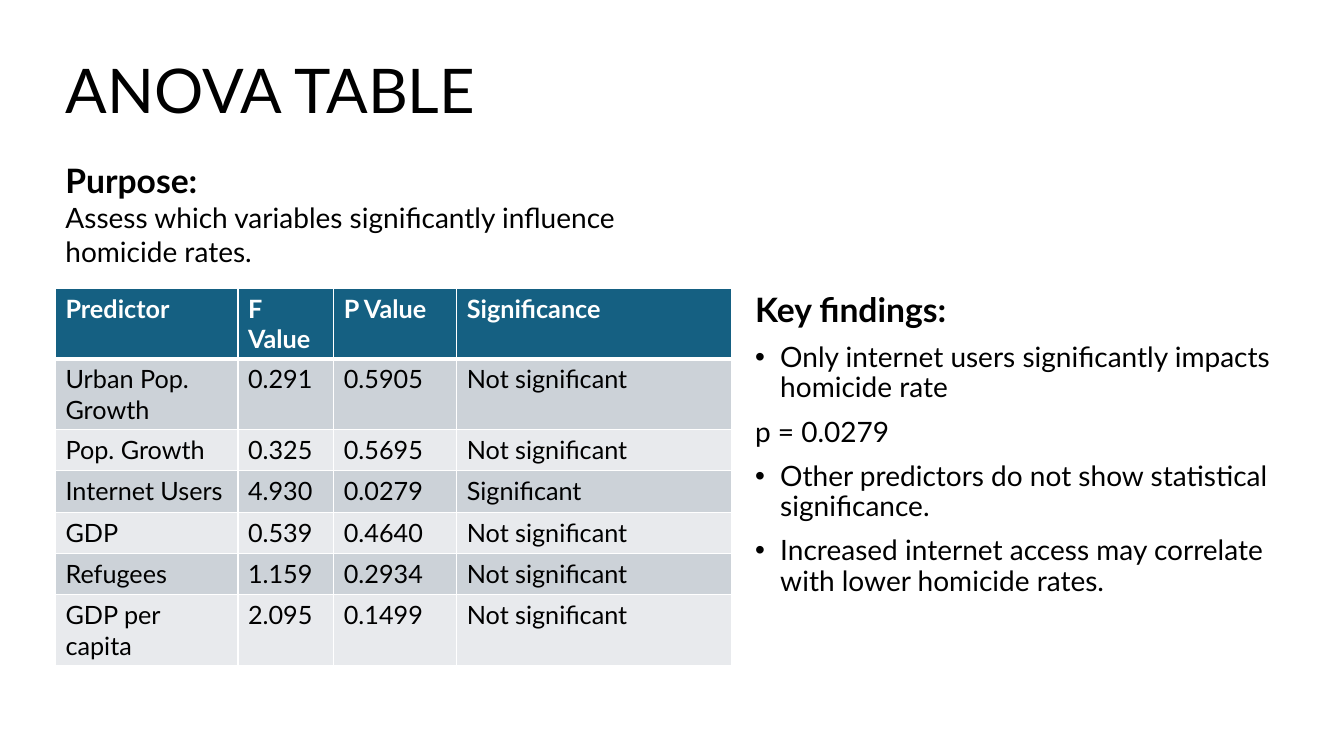
import lxml.etree
import pptx
import pptx.dml.color
import pptx.enum.text
import pptx.oxml.ns
import pptx.util

Pt = pptx.util.Pt
qn = pptx.oxml.ns.qn
Anchor = pptx.enum.text.MSO_ANCHOR
Size = pptx.enum.text.MSO_AUTO_SIZE

HUES = {"ink": "000000", "paper": "FFFFFF", "head": "156082",
        "dark": "CCD2D8", "light": "E8EAED"}
FORMS = {
    "title": {"size": Pt(44), "bold": False},
    "lead": {"size": Pt(24), "bold": True},
    "body": {"size": Pt(20), "bold": False},
    "head": {"size": Pt(18), "bold": True},
    "cell": {"size": Pt(18), "bold": False},
}
TIGHT = {"line_spacing": 0.9, "space_before": Pt(10)}


def apply(item, values):
    for name, value in values.items():
        setattr(item, name, value)


class Deck:
    font = "Lato"

    def __init__(self):
        self.file = pptx.Presentation()
        self.file.slide_width = pptx.util.Inches(13.33)
        self.file.slide_height = pptx.util.Inches(7.5)
        self.slide = self.file.slides.add_slide(self.file.slide_layouts[6])

    def wide(self, share):
        return round(self.file.slide_width * share / 100)

    def high(self, share):
        return round(self.file.slide_height * share / 100)

    def area(self, box):
        left, top, width, height = box
        return self.wide(left), self.high(top), self.wide(width), self.high(height)

    def label(self, para, words, form, hue="ink"):
        run = para.add_run()
        run.text = words
        apply(run.font, {"name": self.font, **FORMS[form]})
        run.font.color.rgb = pptx.dml.color.RGBColor.from_string(HUES[hue])

    def bullet(self, para):
        props = para._p.get_or_add_pPr()
        dent = pptx.util.Inches(0.25)
        props.set("marL", str(dent))
        props.set("indent", str(-dent))
        font = lxml.etree.SubElement(props, qn("a:buFont"))
        font.set("typeface", "Arial")
        lxml.etree.SubElement(props, qn("a:buChar")).set("char", "•")

    def text(self, box, lines, space, frame):
        area = self.slide.shapes.add_textbox(*self.area(box)).text_frame
        apply(area, {"word_wrap": True, **frame})
        for index, (words, form, dot) in enumerate(lines):
            para = area.add_paragraph() if index else area.paragraphs[0]
            apply(para, space)
            if dot:
                self.bullet(para)
            self.label(para, words, form)

    def border(self, cell, edges):
        props = cell._tc.get_or_add_tcPr()
        for side, width in edges.items():
            line = lxml.etree.SubElement(props, qn(f"a:ln{side}"))
            line.set("w", str(Pt(width)))
            fill = lxml.etree.SubElement(line, qn("a:solidFill"))
            lxml.etree.SubElement(fill, qn("a:srgbClr")).set("val", HUES["paper"])

    def table(self, box, cols, row, data):
        area = self.area(box)
        frame = self.slide.shapes.add_table(len(data), len(cols), *area)
        grid = frame.table
        for col, share in zip(grid.columns, cols):
            col.width = self.wide(share)
        for index, values in enumerate(data):
            grid.rows[index].height = self.high(row)
            top = index == 0
            fill = "head" if top else ("light", "dark")[index % 2]
            edges = {"L": 1, "R": 1, "T": 3 if index == 1 else 1, "B": 3 if top else 1}
            for place, words in enumerate(values):
                cell = grid.cell(index, place)
                self.border(cell, edges)
                cell.fill.solid()
                cell.fill.fore_color.rgb = pptx.dml.color.RGBColor.from_string(HUES[fill])
                self.label(cell.text_frame.paragraphs[0], words,
                           "head" if top else "cell", "paper" if top else "ink")
        frame.height = area[3]


def main():
    deck = Deck()
    left, top, width = 4.13, 38.13, 50.26
    deck.text((left, 2.67, 86.27, 19.33), [("ANOVA TABLE", "title", False)],
              {"line_spacing": 0.9}, {"vertical_anchor": Anchor.MIDDLE})
    deck.table((left, top, width, 49.6), (13.58, 7.13, 9.15, 20.48), 5.47, [
        ("Predictor", "F Value", "P Value", "Significance"),
        ("Urban Pop. Growth", "0.291", "0.5905", "Not significant"),
        ("Pop. Growth", "0.325", "0.5695", "Not significant"),
        ("Internet Users", "4.930", "0.0279", "Significant"),
        ("GDP", "0.539", "0.4640", "Not significant"),
        ("Refugees", "1.159", "0.2934", "Not significant"),
        ("GDP per capita", "2.095", "0.1499", "Not significant"),
    ])
    deck.text((55.44, top, 41.64, 56.13), [
        ("Key findings:", "lead", False),
        ("Only internet users significantly impacts homicide rate", "body", True),
        ("p = 0.0279", "body", False),
        ("Other predictors do not show statistical significance.", "body", True),
        ("Increased internet access may correlate with lower homicide rates.", "body", True),
    ], TIGHT, {"auto_size": Size.NONE})
    deck.text((left, 20.53, width, 15.73), [
        ("Purpose:", "lead", False),
        ("Assess which variables significantly influence homicide rates.", "body", False),
    ], {}, {"auto_size": Size.SHAPE_TO_FIT_TEXT})
    deck.file.save("out.pptx")


if __name__ == "__main__":
    main()
